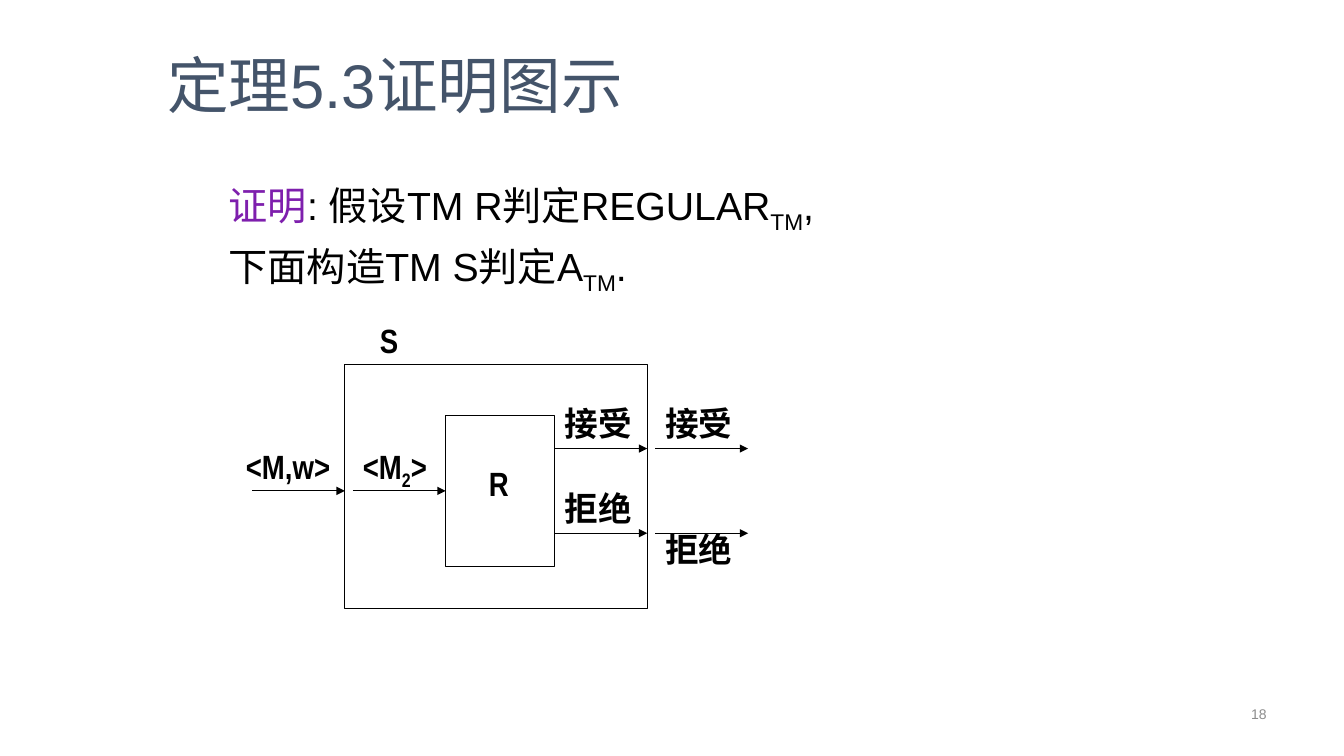
import lxml.etree
import pptx
import pptx.dml.color
import pptx.enum.shapes
import pptx.enum.text
import pptx.oxml.ns
import pptx.util

PX = 9144  # EMU in one px, 100 px to the inch
ANCHOR = pptx.enum.text.MSO_ANCHOR
ALIGN = pptx.enum.text.PP_ALIGN


class Theme:
    ink = "000000"
    accent = "7E1FAD"
    title = {"size": 44, "name": "Arial", "color": "44546A"}
    body = {"size": 28, "name": "Arial", "color": ink}
    label = {"size": 24, "name": "Arial Narrow", "color": ink, "bold": True}
    number = {"size": 10, "name": "Arial", "color": "8C8C8C"}
    line_width = 0.75
    subscript = -25000


def rgb(value):
    return pptx.dml.color.RGBColor.from_string(value)


def px(*lengths):
    return [length * PX for length in lengths]


def add_run(paragraph, text, style, subscript=False):
    run = paragraph.add_run()
    run.text = text
    for name, value in style.items():
        if name == "color":
            run.font.color.rgb = rgb(value)
        else:
            setattr(run.font, name, pptx.util.Pt(value) if name == "size" else value)
    if subscript:
        run._r.get_or_add_rPr().set("baseline", str(Theme.subscript))


def add_text(shapes, box, style, paragraphs, frame_format=None, paragraph_format=None):
    """Each paragraph is a list of (text, style changes, subscript) runs."""
    frame = shapes.add_textbox(*px(*box)).text_frame
    for name, value in {"word_wrap": True, **(frame_format or {})}.items():
        setattr(frame, name, value)
    for index, runs in enumerate(paragraphs):
        paragraph = frame.add_paragraph() if index else frame.paragraphs[0]
        for name, value in (paragraph_format or {}).items():
            setattr(paragraph, name, value)
        for text, changes, subscript in runs:
            add_run(paragraph, text, {**style, **changes}, subscript)


def add_machine(shapes, box):
    machine = shapes.add_shape(pptx.enum.shapes.MSO_SHAPE.RECTANGLE, *px(*box))
    machine.shadow.inherit = False
    machine.fill.background()
    machine.line.color.rgb = rgb(Theme.ink)
    machine.line.width = pptx.util.Pt(Theme.line_width)


def add_arrow(shapes, left, top, length):
    arrow = shapes.add_connector(
        pptx.enum.shapes.MSO_CONNECTOR.STRAIGHT, *px(left, top, left + length, top))
    arrow.line.color.rgb = rgb(Theme.ink)
    arrow.line.width = pptx.util.Pt(Theme.line_width)
    qn = pptx.oxml.ns.qn
    lxml.etree.SubElement(arrow.line._get_or_add_ln(), qn("a:tailEnd"), type="triangle")
    lxml.etree.SubElement(arrow._element.spPr, qn("a:effectLst"))


def add_title(slide, box):
    add_text(slide.shapes, box, Theme.title, [[("定理5.3证明图示", {}, False)]],
             {"vertical_anchor": ANCHOR.BOTTOM})


def add_proof(slide, box):
    add_text(slide.shapes, box, Theme.body, [
        [("证明", {"color": Theme.accent}, False), (": 假设TM R判定REGULAR", {}, False),
         ("TM", {}, True), (",", {}, False)],
        [("下面构造TM S判定A", {}, False), ("TM", {}, True), (".", {}, False)],
    ], paragraph_format={"space_after": pptx.util.Pt(5.6)})


def add_diagram(slide, box):
    left, top, width, height = box
    shapes = slide.shapes.add_group_shape().shapes
    arrow_length, gap, label_height = 92, 8, 50
    column = arrow_length + gap

    # Machine S and the machine R inside it
    inner_left, inner_width = left + column, 108
    inner_right = inner_left + inner_width
    add_machine(shapes, box)
    add_machine(shapes, (inner_left, top + 50, inner_width, 150))

    # Inputs on one row, outcomes on two
    input_row, accept_row, reject_row = top + 125, top + 83, top + 167
    for arrow_left in (left - arrow_length, left + gap):
        add_arrow(shapes, arrow_left, input_row, arrow_length)
    for row in (accept_row, reject_row):
        for arrow_left in (inner_right, inner_right + column):
            add_arrow(shapes, arrow_left, row, arrow_length)

    # Labels: left, top, width, runs
    above = label_height
    labels = [
        (left + 25, top - above, 50, [("S", False)]),
        (inner_left + 33, top + 92, 50, [("R", False)]),
        (left - 108, input_row - above, 108, [("<M,w>", False)]),
        (left + gap, input_row - above, 108, [("<M", False), ("2", True), (">", False)]),
        (inner_right, accept_row - above, 100, [("接受", False)]),
        (inner_right + column, accept_row - above, 100, [("接受", False)]),
        (inner_right, reject_row - above, 100, [("拒绝", False)]),
        (inner_right + column, reject_row - 9, 108, [("拒绝", False)]),
    ]
    for label_left, label_top, label_width, runs in labels:
        add_text(shapes, (label_left, label_top, label_width, label_height), Theme.label,
                 [[(text, {}, subscript) for text, subscript in runs]])


def add_page_number(slide, box):
    add_text(slide.shapes, box, Theme.number, [[("18", {}, False)]],
             {"vertical_anchor": ANCHOR.MIDDLE}, {"alignment": ALIGN.RIGHT})


def main():
    presentation = pptx.Presentation()
    presentation.slide_width, presentation.slide_height = px(1333, 750)
    slide = presentation.slides.add_slide(presentation.slide_layouts[6])
    add_title(slide, (156, 0, 1133, 125))
    add_proof(slide, (217, 175, 900, 220))
    add_diagram(slide, (342, 362, 300, 242))
    add_page_number(slide, (971, 691, 295, 35))
    presentation.save("out.pptx")


if __name__ == "__main__":
    main()
